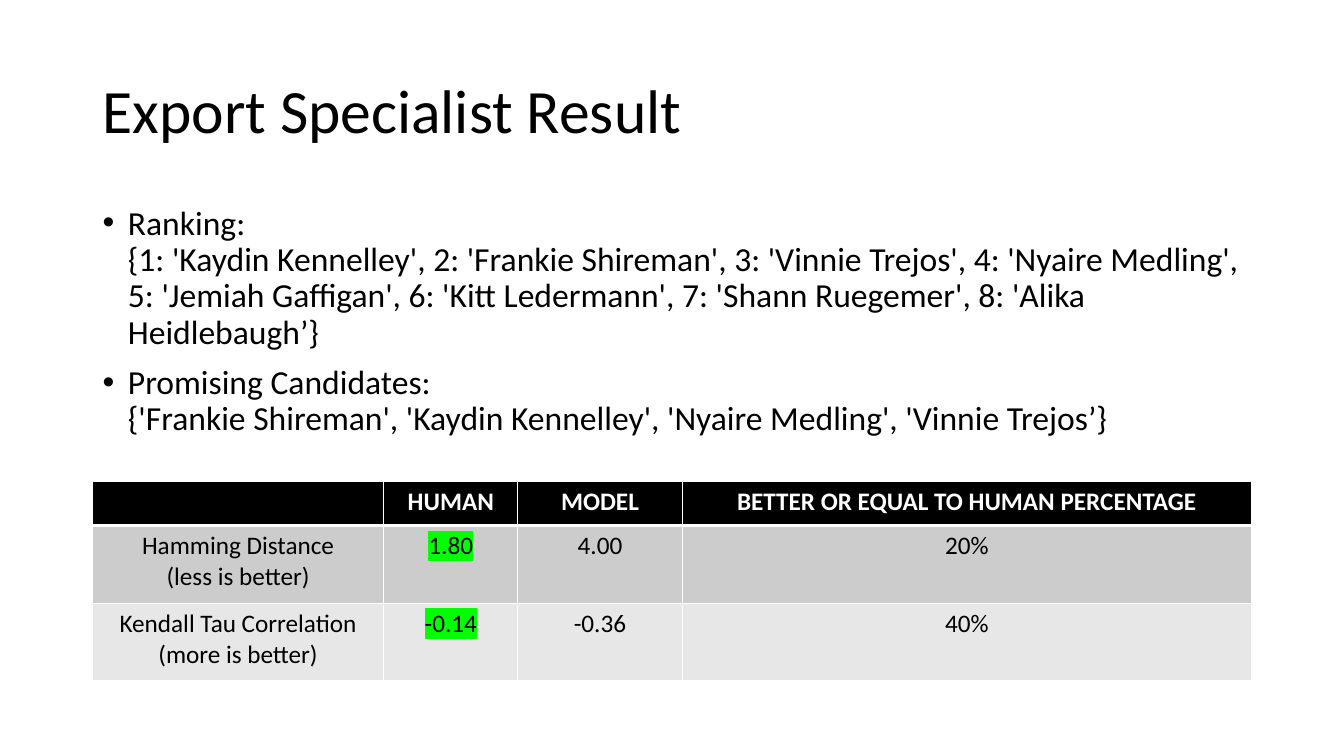
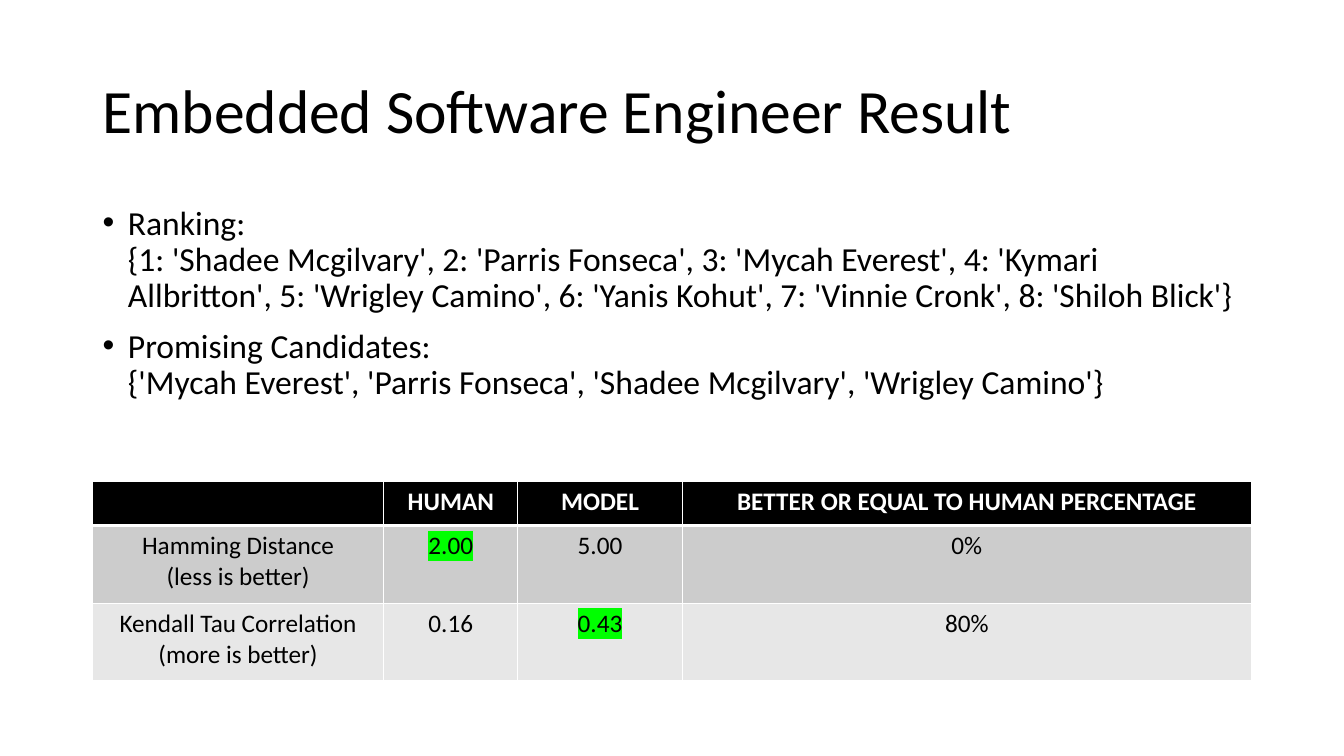
import copy

import pptx
import pptx.dml.color
import pptx.enum.text
import pptx.oxml.ns
import pptx.util
from lxml import etree

Cm = pptx.util.Cm
Pt = pptx.util.Pt
ALIGN = pptx.enum.text.PP_ALIGN
ANCHOR = pptx.enum.text.MSO_ANCHOR
qn = pptx.oxml.ns.qn

# Shared style
FONT = "Calibri"
COLORS = {
    "text": "000000",
    "header": "000000",
    "header_text": "FFFFFF",
    "border": "FFFFFF",
    "odd_row": "CCCCCC",
    "even_row": "E7E7E7",
    "best": "00FF00",
}

# Boxes: left, top, width, height in cm
TITLE_BOX = (2.33, 1.01, 29.21, 3.68)
BODY_BOX = (2.33, 5.07, 29.21, 12.09)
TABLE_BOX = (2.33, 12.12, 29.21, 5.04)
COLUMN_WIDTHS = (7.34, 3.38, 4.14, 14.35)
HEADER_HEIGHT = 1.12
HEADERS = ("", "HUMAN", "MODEL", "BETTER OR EQUAL TO HUMAN PERCENTAGE")
MEASURES = ("Hamming Distance\n(less is better)",
            "Kendall Tau Correlation\n(more is better)")

# "best" lists the (row, column) of each winning score in the table
RESULTS = [
    {
        "title": "Export Specialist Result",
        "points": [
            "Ranking: \n{1: 'Kaydin Kennelley', 2: 'Frankie Shireman', "
            "3: 'Vinnie Trejos', 4: 'Nyaire Medling', 5: 'Jemiah Gaffigan', "
            "6: 'Kitt Ledermann', 7: 'Shann Ruegemer', 8: 'Alika Heidlebaugh’}",
            "Promising Candidates:\n{'Frankie Shireman', 'Kaydin Kennelley', "
            "'Nyaire Medling', 'Vinnie Trejos’}",
        ],
        "scores": [("1.80", "4.00", "20%"), ("-0.14", "-0.36", "40%")],
        "best": {(1, 1), (2, 1)},
    },
    {
        "title": "Embedded Software Engineer Result",
        "points": [
            "Ranking: \n{1: 'Shadee Mcgilvary', 2: 'Parris Fonseca', "
            "3: 'Mycah Everest', 4: 'Kymari Allbritton', 5: 'Wrigley Camino', "
            "6: 'Yanis Kohut', 7: 'Vinnie Cronk', 8: 'Shiloh Blick'}",
            "Promising Candidates:\n{'Mycah Everest', 'Parris Fonseca', "
            "'Shadee Mcgilvary', 'Wrigley Camino'}",
        ],
        "scores": [("2.00", "5.00", "0%"), ("0.16", "0.43", "80%")],
        "best": {(1, 1), (2, 2)},
    },
]


def rgb(name):
    return pptx.dml.color.RGBColor.from_string(COLORS[name])


def write_text(paragraph, text, size=18, color="text", bold=False,
               align=ALIGN.LEFT, line_spacing=None, space_before=None,
               hanging=None, highlight=None):
    """Fill a paragraph; each newline in the text becomes a line break."""
    paragraph.alignment = align
    paragraph.line_spacing = line_spacing
    paragraph.space_before = space_before
    if hanging is not None:
        properties = paragraph._p.get_or_add_pPr()
        properties.set("marL", str(hanging))
        properties.set("indent", str(-hanging))
    for index, line in enumerate(text.split("\n")):
        if index:
            paragraph.add_line_break()
            # The break keeps the size of the line before it
            line_break = paragraph._p.findall(qn("a:br"))[-1]
            line_break.append(copy.deepcopy(run._r.rPr))
        run = paragraph.add_run()
        run.text = line
        font = run.font
        font.name, font.size, font.bold = FONT, Pt(size), bold
        font.color.rgb = rgb(color)
        if highlight:
            mark = etree.Element(qn("a:highlight"))
            etree.SubElement(mark, qn("a:srgbClr"), val=COLORS[highlight])
            run._r.rPr.find(qn("a:solidFill")).addnext(mark)


def place(shape, box):
    shape.left, shape.top, shape.width, shape.height = map(Cm, box)
    shape.text_frame.auto_size = pptx.enum.text.MSO_AUTO_SIZE.NONE


def add_title(slide, box, text):
    title = slide.shapes.title
    place(title, box)
    title.text_frame.vertical_anchor = ANCHOR.MIDDLE
    write_text(title.text_frame.paragraphs[0], text, size=44, line_spacing=0.9)


def add_points(slide, box, points):
    body = slide.placeholders[1]
    place(body, box)
    frame = body.text_frame
    for index, point in enumerate(points):
        paragraph = frame.add_paragraph() if index else frame.paragraphs[0]
        write_text(paragraph, point, size=24, line_spacing=0.9,
                   space_before=Pt(10), hanging=Cm(0.64))


def set_borders(cell, top=1, bottom=1):
    properties = cell._tc.get_or_add_tcPr()
    sides = (("L", 1), ("R", 1), ("T", top), ("B", bottom))
    for index, (side, width) in enumerate(sides):
        line = etree.Element(qn(f"a:ln{side}"), w=str(Pt(width)))
        fill = etree.SubElement(line, qn("a:solidFill"))
        etree.SubElement(fill, qn("a:srgbClr"), val=COLORS["border"])
        properties.insert(index, line)


def add_score_table(slide, box, scores, best):
    rows = [HEADERS] + [(measure, *values)
                        for measure, values in zip(MEASURES, scores)]
    table = slide.shapes.add_table(len(rows), len(HEADERS), *map(Cm, box)).table
    for column, width in zip(table.columns, COLUMN_WIDTHS):
        column.width = Cm(width)
    row_height = (box[3] - HEADER_HEIGHT) / len(scores)
    for row_index, values in enumerate(rows):
        is_header = row_index == 0
        table.rows[row_index].height = Cm(HEADER_HEIGHT if is_header else row_height)
        fill = "header" if is_header else ("even_row", "odd_row")[row_index % 2]
        for column_index, value in enumerate(values):
            cell = table.cell(row_index, column_index)
            cell.fill.solid()
            cell.fill.fore_color.rgb = rgb(fill)
            # A thicker rule parts the header from the scores
            set_borders(cell, top=3 if row_index == 1 else 1,
                        bottom=3 if is_header else 1)
            write_text(cell.text_frame.paragraphs[0], value, align=ALIGN.CENTER,
                       color="header_text" if is_header else "text",
                       bold=is_header,
                       highlight="best" if (row_index, column_index) in best else None)


def add_result_slide(presentation, result):
    slide = presentation.slides.add_slide(presentation.slide_layouts[1])
    add_title(slide, TITLE_BOX, result["title"])
    add_points(slide, BODY_BOX, result["points"])
    add_score_table(slide, TABLE_BOX, result["scores"], result["best"])


def main():
    presentation = pptx.Presentation()
    presentation.slide_width, presentation.slide_height = Cm(33.87), Cm(19.05)
    for result in RESULTS:
        add_result_slide(presentation, result)
    presentation.save("out.pptx")


if __name__ == "__main__":
    main()
